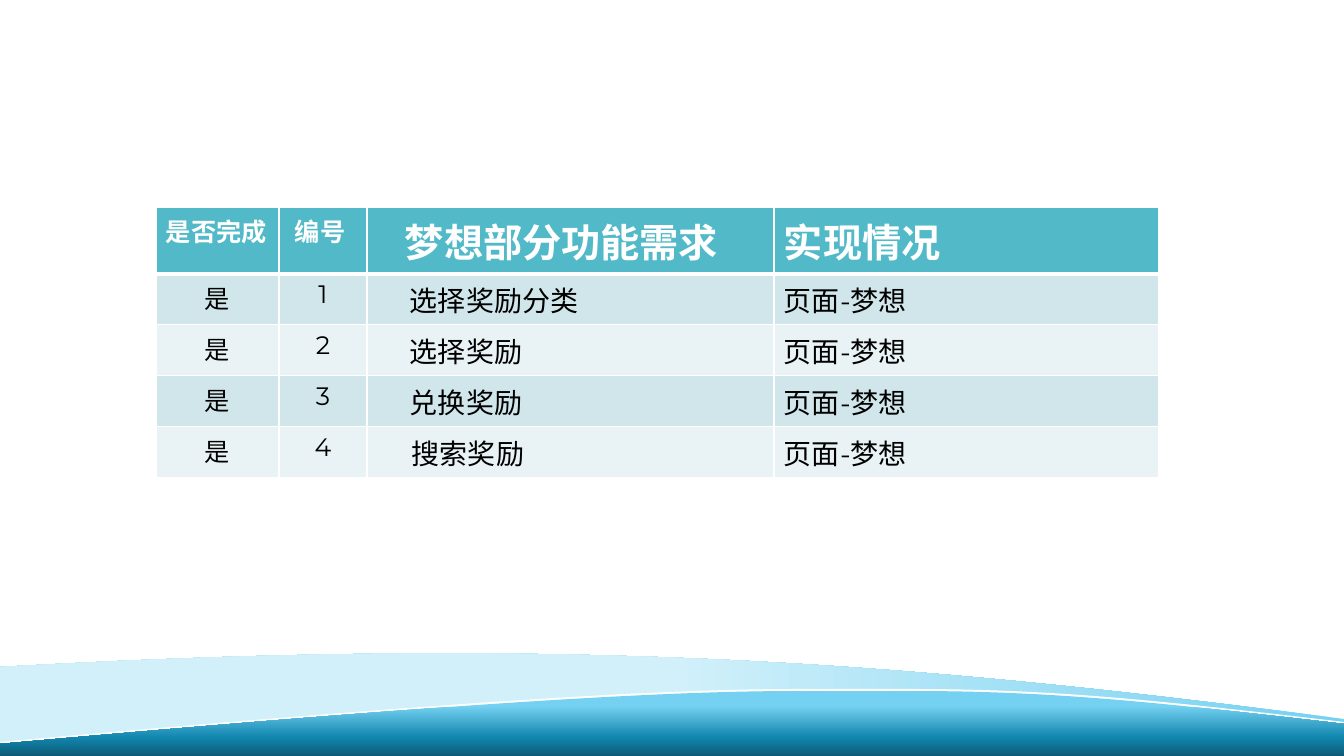
from dataclasses import dataclass
from pptx import Presentation
from pptx.dml.color import RGBColor as Rgb
from pptx.enum.text import PP_ALIGN as Align
from pptx.oxml import parse_xml
from pptx.oxml.ns import nsdecls
from pptx.util import Pt

# Each cell: text, extra indent in px
HEADER = [("是否完成", 0), ("编号", 6), ("梦想部分功能需求", 28), ("实现情况", 0)]
NEEDS = [("选择奖励分类", 33), ("选择奖励", 33), ("兑换奖励", 33), ("搜索奖励", 35)]
DONE, PLACE = "是", "页面-梦想"

TABLE_LEFT, TABLE_TOP = 156, 207
COLUMNS = [123, 88, 407, 385]
HEADER_HEIGHT, ROW_HEIGHT = 65, 51
CELL_MARGIN = 10

# Curves: a start point, then three control points per cubic segment
CREST = [(0, 744), (523, 697), (694, 691), (804, 691), (842, 691), (872, 691),
         (906, 691), (1044, 691), (1140, 700), (1344, 724)]
WAVE_TOP = [(0, 667), (597, 633), (940, 667), (1344, 719)]
WAVE_BOTTOM = [(1344, 739), (879, 646), (487, 724), (0, 747)]
WAVE_SPAN = (653, 747)
CREST_SPAN = (691, 744)
RIM_RISE, RIM_DROP = 2, 8

WIDTH, HEIGHT = 1344, 756
SCALE = 914400 / 100.8


@dataclass(frozen=True)
class Theme:
    font: str = "Montserrat"
    white: str = "FFFFFF"
    black: str = "000000"
    header: str = "51B9C7"
    bands: tuple = ("D0E6EB", "E9F3F5")
    wave: tuple = ((0, "75D1F1"), (50, "D1F0FA"), (100, "D1F0FA"))
    sea: tuple = ((23, "75D1F1"), (71, "1287AF"), (100, "0C5A75"))
    small: int = 18
    body: int = 20
    large: int = 28


THEME = Theme()


def px(length):
    return round(length * SCALE)


def shift(curve, down):
    return [(x, y + down) for x, y in curve]


def add_area(page, curves, top, bottom):
    """Add a full-width outline of curves joined by straight lines."""
    builder = page.shapes.build_freeform(0, px(top), scale=1.0)
    builder.add_line_segments([(px(WIDTH), px(top)), (px(WIDTH), px(bottom)), (0, px(bottom))])
    area = builder.convert_to_shape()
    outline = area.element.spPr.find(".//{*}pathLst")[0]
    for child in list(outline):
        outline.remove(child)

    def draw(command, points=()):
        marks = "".join(f'<a:pt x="{px(x)}" y="{px(y) - px(top)}"/>' for x, y in points)
        outline.append(parse_xml(f'<a:{command} {nsdecls("a")}>{marks}</a:{command}>'))

    for index, curve in enumerate(curves):
        draw("lnTo" if index else "moveTo", curve[:1])
        for first in range(1, len(curve), 3):
            draw("cubicBezTo", curve[first:first + 3])
    draw("close")

    area.shadow.inherit = False
    area.line.fill.background()
    area.fill.solid()
    area.fill.fore_color.rgb = Rgb.from_string(THEME.white)
    return area


def set_gradient(area, stops, angle):
    marks = "".join(f'<a:gs pos="{at * 1000}"><a:srgbClr val="{color}"/></a:gs>'
                    for at, color in stops)
    gradient = parse_xml(f'<a:gradFill {nsdecls("a")} rotWithShape="1"><a:gsLst>{marks}</a:gsLst>'
                         f'<a:lin ang="{angle * 60000}" scaled="0"/></a:gradFill>')
    properties = area.element.spPr
    properties.replace(properties.find("{*}solidFill"), gradient)


def set_borders(cell, bottom):
    """Draw white cell edges; bottom is the width of the lower one in points."""
    properties = cell._tc.get_or_add_tcPr()
    for index, (side, width) in enumerate(zip("LRTB", (1, 1, 1, bottom))):
        properties.insert(index, parse_xml(
            f'<a:ln{side} {nsdecls("a")} w="{Pt(width)}"><a:solidFill>'
            f'<a:srgbClr val="{THEME.white}"/></a:solidFill></a:ln{side}>'))


def fill_cell(cell, text, indent, size, color, fill, bold=False, align=Align.LEFT, bottom=1):
    cell.fill.solid()
    cell.fill.fore_color.rgb = Rgb.from_string(fill)
    cell.margin_left = px(CELL_MARGIN + indent)
    para = cell.text_frame.paragraphs[0]
    para.alignment = align
    span = para.add_run()
    span.text = text
    for name, value in dict(name=THEME.font, size=Pt(size), bold=bold).items():
        setattr(span.font, name, value)
    span.font.color.rgb = Rgb.from_string(color)
    set_borders(cell, bottom)


def add_waves(page):
    wave = add_area(page, [WAVE_TOP, WAVE_BOTTOM], *WAVE_SPAN)
    set_gradient(wave, THEME.wave, 180)
    crest_top, crest_bottom = CREST_SPAN
    add_area(page, [shift(CREST, -RIM_RISE), shift(CREST, RIM_DROP)[::-1]],
             crest_top - RIM_RISE, crest_bottom + RIM_DROP)
    sea = add_area(page, [CREST, [(WIDTH, HEIGHT)], [(0, HEIGHT)]], crest_top, HEIGHT)
    set_gradient(sea, THEME.sea, 90)


def add_needs_table(page):
    heights = [HEADER_HEIGHT] + [ROW_HEIGHT] * len(NEEDS)
    frame = page.shapes.add_table(len(heights), len(COLUMNS), px(TABLE_LEFT), px(TABLE_TOP),
                                  px(sum(COLUMNS)), px(sum(heights)))
    table = frame.table
    for column, width in zip(table.columns, COLUMNS):
        column.width = px(width)
    for row, height in zip(table.rows, heights):
        row.height = px(height)

    for column, (text, indent) in enumerate(HEADER):
        size = THEME.small if column < 2 else THEME.large
        fill_cell(table.cell(0, column), text, indent, size, THEME.white, THEME.header,
                  bold=True, bottom=3)
    for number, need in enumerate(NEEDS, 1):
        band = THEME.bands[(number - 1) % 2]
        entries = [(DONE, 0), (str(number), 0), need, (PLACE, 0)]
        for column, (text, indent) in enumerate(entries):
            size, align = ((THEME.small, Align.CENTER) if column < 2
                           else (THEME.body, Align.LEFT))
            fill_cell(table.cell(number, column), text, indent, size, THEME.black, band,
                      align=align)


def main():
    deck = Presentation()
    deck.slide_width, deck.slide_height = px(WIDTH), px(HEIGHT)
    page = deck.slides.add_slide(deck.slide_layouts[6])
    add_waves(page)
    add_needs_table(page)
    deck.save("out.pptx")


if __name__ == "__main__":
    main()
